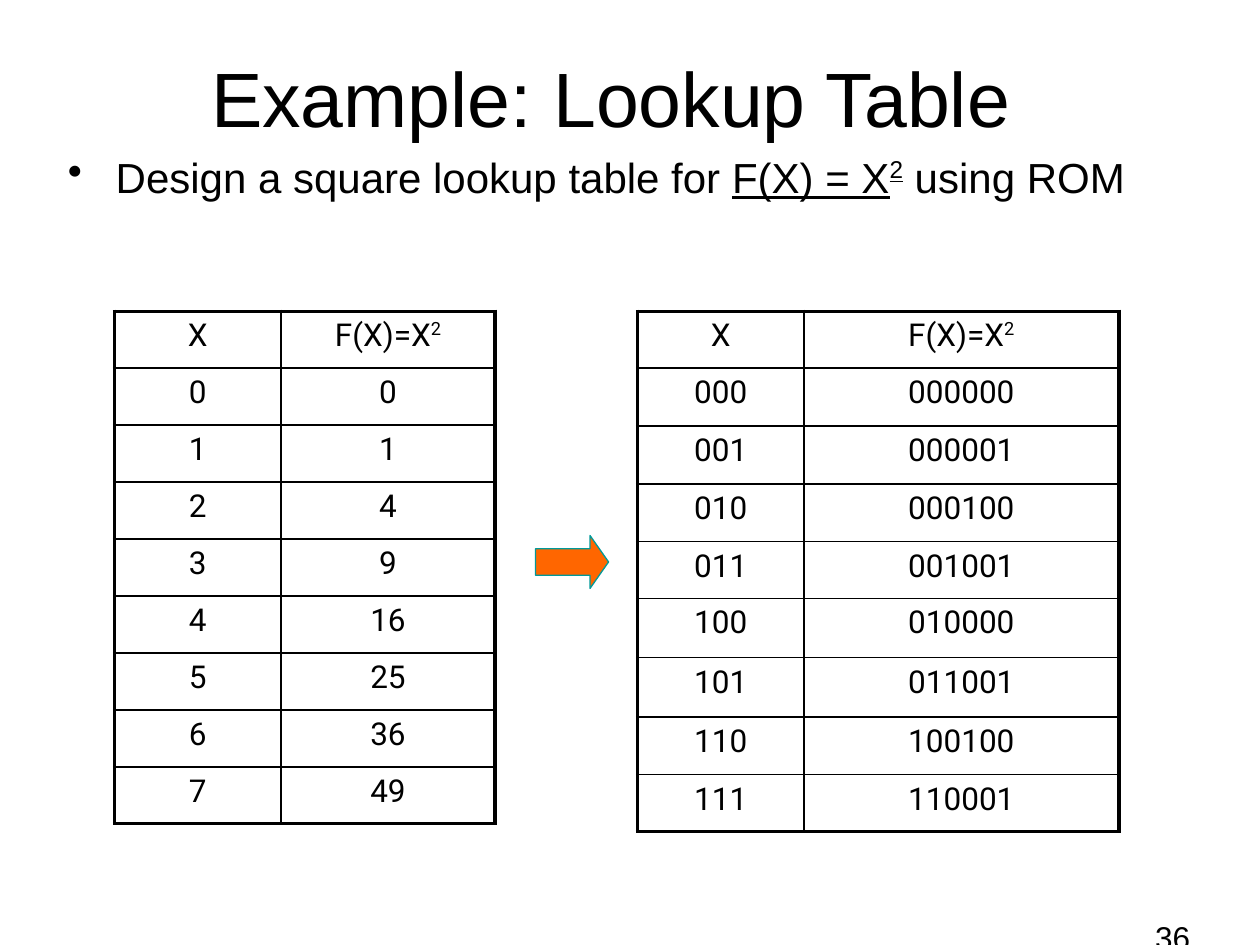
from lxml import etree
from pptx import Presentation
from pptx.dml.color import RGBColor
from pptx.enum.shapes import MSO_SHAPE
from pptx.enum.text import MSO_ANCHOR, PP_ALIGN
from pptx.oxml.ns import qn
from pptx.util import Inches, Pt

ARROW = MSO_SHAPE.RIGHT_ARROW
MID, TOP = MSO_ANCHOR.MIDDLE, MSO_ANCHOR.TOP
LEFT, MIDDLE = PP_ALIGN.LEFT, PP_ALIGN.CENTER
COLORS = {"ink": "000000", "arrow": "FF6600", "edge": "009999"}
COLS, ROWS = 100, 75
THICK, THIN = 2.25, 1


class Deck:
    """Holds the style and the current slide, measured on a 100 by 75 grid."""

    def __init__(self):
        self.prs = Presentation()
        self.prs.slide_width, self.prs.slide_height = Inches(10), Inches(7.5)
        self.slide = self.prs.slides.add_slide(self.prs.slide_layouts[6])

    def color(self, name):
        return RGBColor.from_string(COLORS[name])

    def x(self, cols):
        return round(self.prs.slide_width * cols / COLS)

    def y(self, rows):
        return round(self.prs.slide_height * rows / ROWS)

    def box(self, left, top, width, height):
        return self.x(left), self.y(top), self.x(width), self.y(height)

    def style(self, para, parts, size, font, align):
        para.alignment = align
        para.text = parts[0]
        for part in parts[1:]:
            para.add_run().text = part
        for run in para.runs:
            run.font.size, run.font.name = Pt(size), font
            run.font.color.rgb = self.color("ink")
        return para.runs

    def lift(self, run, percent):
        run.font._element.set("baseline", str(percent * 1000))

    def text(self, box, parts, size, align=LEFT, anchor=TOP):
        frame = self.slide.shapes.add_textbox(*self.box(*box)).text_frame
        frame.word_wrap, frame.vertical_anchor = True, anchor
        para = frame.paragraphs[0]
        self.style(para, parts, size, "Arial", align)
        return para

    def bullet(self, para, indent):
        props = para._p.get_or_add_pPr()
        props.set("marL", str(self.x(indent)))
        props.set("indent", str(-self.x(indent)))
        etree.SubElement(props, qn("a:buChar")).set("char", "•")

    def border(self, cell, widths):
        props = cell._tc.get_or_add_tcPr()
        for side, width in zip("LRTB", widths):
            line = etree.SubElement(props, qn("a:ln" + side))
            line.set("w", str(Pt(width)))
            fill = etree.SubElement(line, qn("a:solidFill"))
            etree.SubElement(fill, qn("a:srgbClr")).set("val", COLORS["ink"])

    def table(self, left, top, widths, heights, pairs):
        box = self.box(left, top, sum(widths), sum(heights))
        rows, cols = len(heights), len(widths)
        grid = self.slide.shapes.add_table(rows, cols, *box).table
        for col, width in zip(grid.columns, widths):
            col.width = self.x(width)
        for row, height in zip(grid.rows, heights):
            row.height = self.y(height)
        cells = [("X", "F(X)=X")] + pairs
        for r, pair in enumerate(cells):
            for c, value in enumerate(pair):
                cell = grid.cell(r, c)
                outer = (c == 0, c == cols - 1, r == 0, r == rows - 1)
                self.border(cell, [THICK if o else THIN for o in outer])
                cell.fill.background()
                head = r == 0 and c == 1
                parts = [value, "2"] if head else [value]
                para = cell.text_frame.paragraphs[0]
                runs = self.style(para, parts, 18, "Roboto", MIDDLE)
                if head:
                    self.lift(runs[1], 36)

    def arrow(self, box):
        shape = self.slide.shapes.add_shape(ARROW, *self.box(*box))
        shape.shadow.inherit = False
        shape.adjustments[1] = 0.35
        shape.fill.solid()
        shape.fill.fore_color.rgb = self.color("arrow")
        shape.line.color.rgb = self.color("edge")
        shape.line.width = Pt(0.75)


def main():
    deck = Deck()
    deck.text((90.7, 72.4, 6.6, 1.7), ["36"], 18)
    deck.text((3.5, 3.5, 90, 8.3), ["Example: Lookup Table"], 44, MIDDLE, MID)
    task = ["Design a square lookup table for ", "F(X) = X", "2", " using ROM"]
    para = deck.text((4.4, 11.5, 87.7, 9.4), task, 24)
    para.space_before = Pt(4.8)
    deck.bullet(para, 3.8)
    for run in para.runs[1:3]:
        run.font.underline = True
    deck.lift(para.runs[2], 34)

    plain = [(str(n), str(n * n)) for n in range(8)]
    binary = [(f"{n:03b}", f"{n * n:06b}") for n in range(8)]
    tall = [4.5, 4.6, 4.6, 4.6, 4.5, 4.7, 4.7, 4.6, 4.5]
    deck.table(9.1, 24.7, [13.2, 17], [4.52] * 9, plain)
    deck.table(50.6, 24.7, [13.2, 25], tall, binary)
    deck.arrow((42.5, 42.5, 5.8, 4.2))
    deck.prs.save("out.pptx")


if __name__ == "__main__":
    main()
